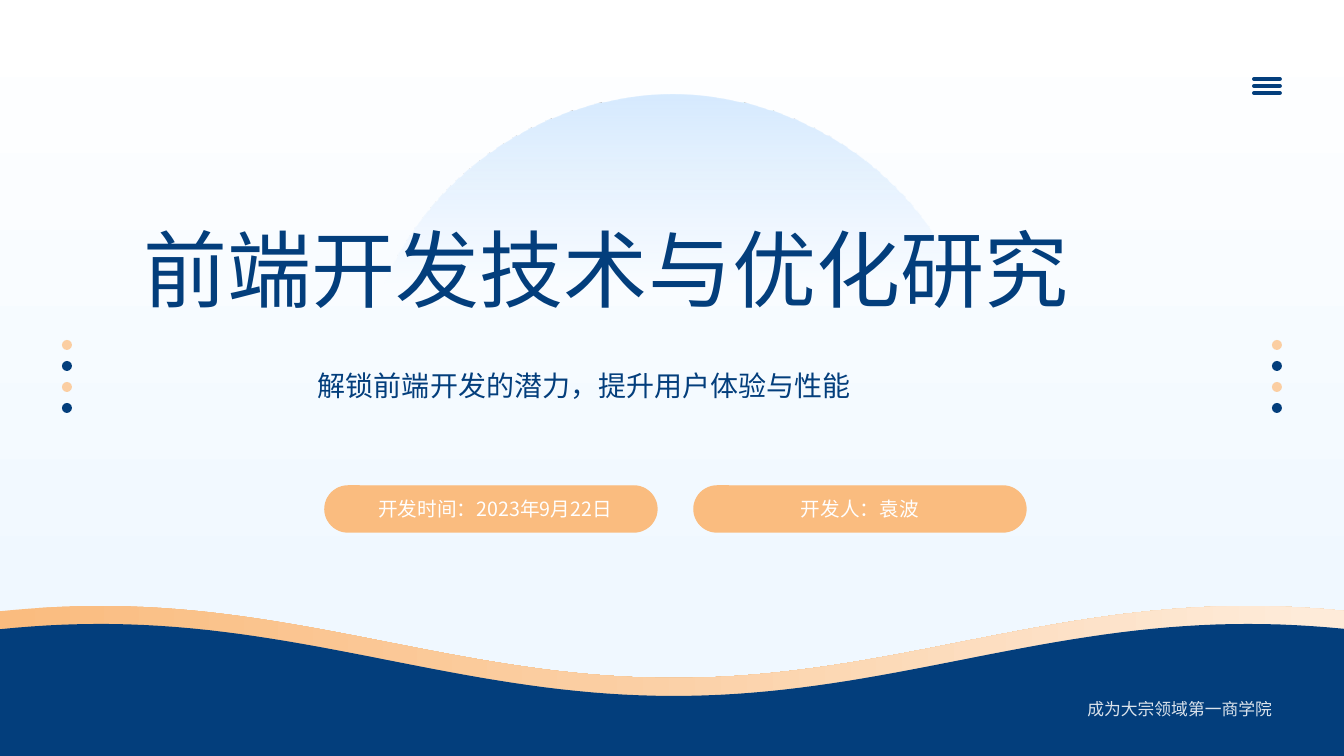
"""Build the title slide on front-end development and optimization."""
from math import cos, pi

from lxml.etree import SubElement
from pptx import Presentation
from pptx.dml.color import RGBColor
from pptx.enum.shapes import MSO_CONNECTOR, MSO_SHAPE
from pptx.enum.text import MSO_AUTO_SIZE, PP_ALIGN
from pptx.oxml.ns import qn
from pptx.util import Pt

WIDE, HIGH = 1344, 756
SCALE = 12192000 / WIDE
NAVY, AMBER, PEACH, WHITE = "033E7C", "FABC7F", "FBCEA2", "FFFFFF"
FONT = "Noto Sans CJK SC"
CREST, CYCLE, SWING = 100, 1148, 36


def px(num):
    """Turn pixels into EMU."""
    return round(num * SCALE)


def tint(code):
    """Turn a hex string into a colour."""
    return RGBColor.from_string(code)


def put(item, vals):
    """Set each value of a dict on an object."""
    for key, val in vals.items():
        setattr(item, key, val)


def fade(owner, root, stops, angle):
    """Fill with a linear gradient of (place, colour, alpha) stops."""
    owner.fill.gradient()
    grad = root.find(".//" + qn("a:gradFill"))
    for child in list(grad):
        grad.remove(child)
    grad.set("rotWithShape", "1")
    series = SubElement(grad, qn("a:gsLst"))
    for place, code, alpha in stops:
        stop = SubElement(series, qn("a:gs"), pos=str(place * 1000))
        hue = SubElement(stop, qn("a:srgbClr"), val=code)
        if alpha < 100:
            SubElement(hue, qn("a:alpha"), val=str(alpha * 1000))
    SubElement(grad, qn("a:lin"), ang=str(angle * 60000), scaled="0")


def paint(shape, code=None):
    """Give a shape a plain fill, no line and no shadow."""
    shape.shadow.inherit = False
    shape.line.fill.background()
    if code:
        shape.fill.solid()
        shape.fill.fore_color.rgb = tint(code)
    return shape


def form(shapes, kind, box, code=None):
    """Add a preset shape."""
    return paint(shapes.add_shape(kind, *map(px, box)), code)


def write(shape, text, size, code, align, alpha=100, **extra):
    """Write one styled paragraph into a shape."""
    frame = shape.text_frame
    put(frame, {"word_wrap": True, "auto_size": MSO_AUTO_SIZE.SHAPE_TO_FIT_TEXT})
    para = frame.paragraphs[0]
    put(para, {"alignment": align, **extra})
    run = para.add_run()
    run.text = text
    put(run.font, {"size": Pt(size), "name": FONT})
    run.font.color.rgb = tint(code)
    props = run.font.color and run._r.get_or_add_rPr()
    props.find(qn("a:latin")).addnext(props.makeelement(qn("a:ea"), typeface=FONT))
    if alpha < 100:
        hue = props.find(".//" + qn("a:srgbClr"))
        SubElement(hue, qn("a:alpha"), val=str(alpha * 1000))


def label(shapes, box, *words, **extra):
    """Add a text box."""
    write(shapes.add_textbox(*map(px, box)), *words, **extra)


def dots(shapes):
    """Add a column of dots at each side."""
    group = shapes.add_group_shape().shapes
    for left in (1272, 62):
        for row in range(4):
            box = (left, 340 + 21 * row, 10, 10)
            form(group, MSO_SHAPE.OVAL, box, (PEACH, NAVY)[row % 2])


def pills(shapes, words):
    """Add a row of rounded labels."""
    group = shapes.add_group_shape().shapes
    for col, text in enumerate(words):
        box = (325 + 369 * col, 486, 332, 46)
        pill = form(group, MSO_SHAPE.ROUNDED_RECTANGLE, box, AMBER)
        pill.adjustments[0] = 0.5
        pill.line.color.rgb = tint(AMBER)
        pill.line.width = Pt(1)
        box = (353 + 365 * col, 492, 284, 34)
        label(group, box, text, 14, WHITE, PP_ALIGN.CENTER)


def wave(shapes, level, base, code=None):
    """Add a band with a cosine top edge."""
    edge = [(x, level - SWING * cos(2 * pi * (x - CREST) / CYCLE))
            for x in range(0, WIDE + 1, 16)]
    points = [(px(x), px(y)) for x, y in edge + [(WIDE, base), (0, base)]]
    pen = shapes.build_freeform(*points[0])
    pen.add_line_segments(points[1:], close=True)
    return paint(pen.convert_to_shape(), code)


def menu(shapes):
    """Add the three bars of the menu icon."""
    group = shapes.add_group_shape().shapes
    for top in (79, 86, 93):
        ends = map(px, (1254, top, 1280, top))
        bar = group.add_connector(MSO_CONNECTOR.STRAIGHT, *ends)
        bar.line.color.rgb = tint(NAVY)
        bar.line.width = Pt(2.75)
        props = bar.element.spPr
        props.find(qn("a:ln")).set("cap", "rnd")
        SubElement(props, qn("a:effectLst"))


def main():
    """Build and save the slide."""
    deck = Presentation()
    put(deck, {"slide_width": px(WIDE), "slide_height": px(HIGH)})
    slide = deck.slides.add_slide(deck.slide_layouts[6])
    shapes = slide.shapes
    fade(slide.background, slide.element,
         [(0, WHITE, 100), (81, "F0F8FF", 100)], 90)
    dots(shapes)
    sun = form(shapes, MSO_SHAPE.OVAL, (358, 95, 629, 629))
    fade(sun, sun.element, [(0, "D6EAFE", 100), (30, "D6EAFE", 0)], 90)
    label(shapes, (134, 201, 1074, 123), "前端开发技术与优化研究", 60, NAVY,
          PP_ALIGN.JUSTIFY, line_spacing=Pt(80), space_after=Pt(5))
    pills(shapes, ("开发时间：2023年9月22日", "开发人：袁波"))
    crest = wave(shapes, 642, 702)
    fade(crest, crest.element,
         [(0, AMBER, 100), (44, PEACH, 100), (98, "FEEBD9", 100)], 0)
    wave(shapes, 660, HIGH, NAVY)
    menu(shapes)
    foot = form(shapes, MSO_SHAPE.RECTANGLE, (976, 694, 306, 30), NAVY)
    write(foot, "成为大宗领域第一商学院", 12, WHITE, PP_ALIGN.RIGHT, 85)
    label(shapes, (308, 364, 726, 44), "解锁前端开发的潜力，提升用户体验与性能",
          20, NAVY, PP_ALIGN.JUSTIFY)
    deck.save("out.pptx")


if __name__ == "__main__":
    main()
